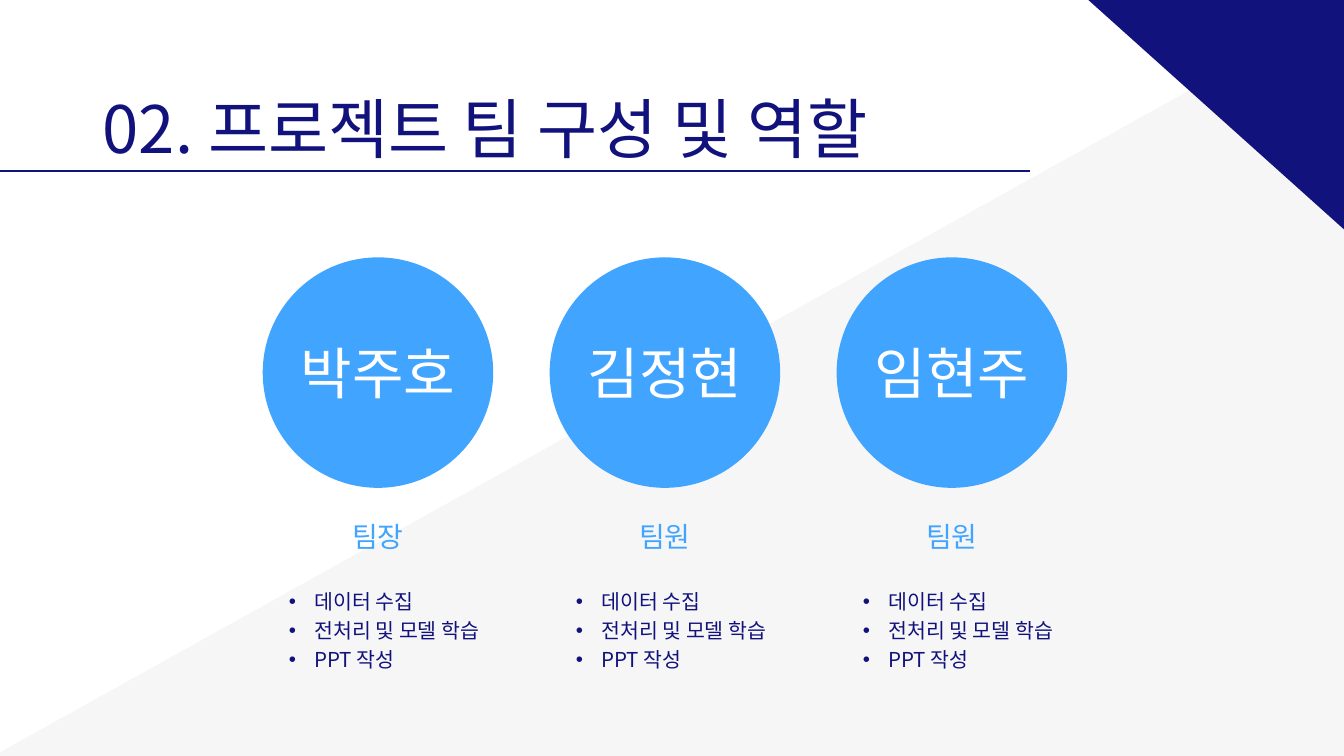
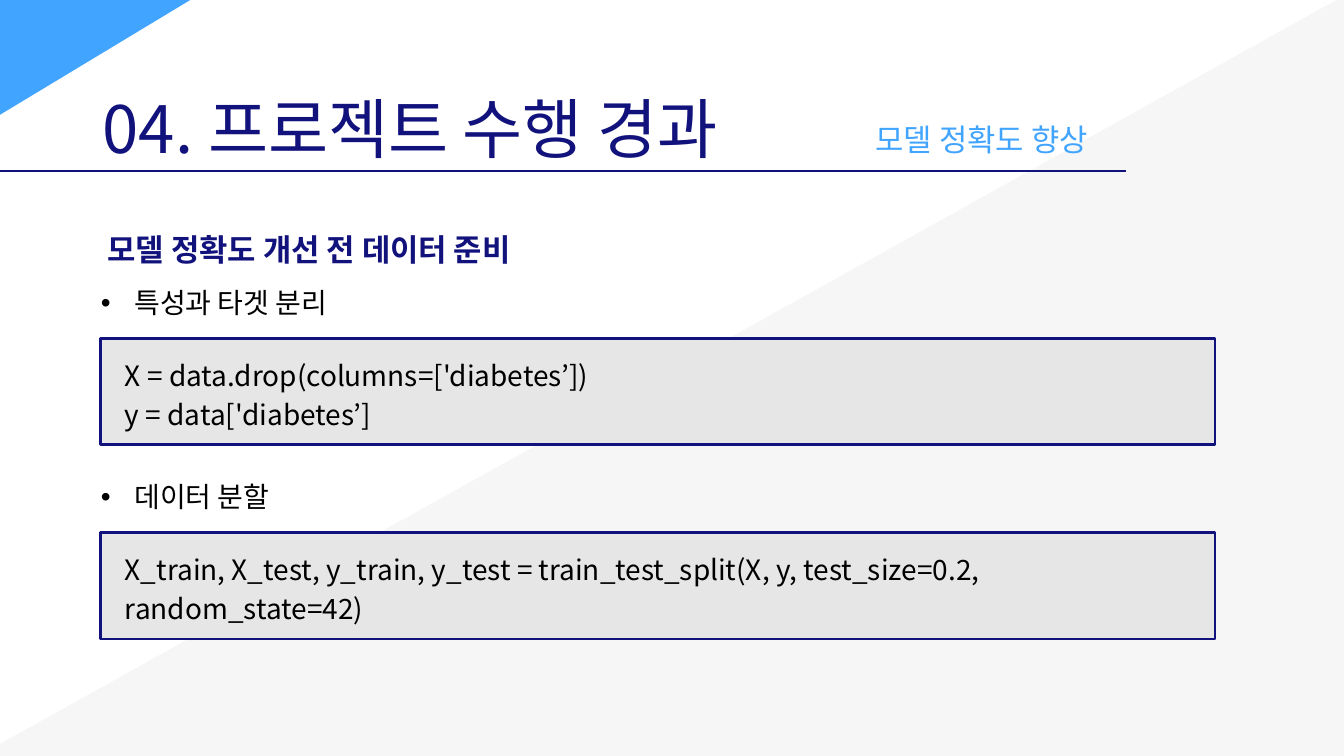
import pptx
import pptx.util
import pptx.dml.color
import pptx.enum.shapes
import pptx.enum.text
import pptx.oxml.xmlchemy

COLORS = {"navy": "12127D", "sky": "41A4FF", "mist": "F6F6F6",
          "code": "E6E6E6", "black": "000000", "white": "FFFFFF"}
RGB = {name: pptx.dml.color.RGBColor.from_string(value) for name, value in COLORS.items()}
FONT = "Noto Sans CJK KR"
CENTER = pptx.enum.text.PP_ALIGN.CENTER
RECTANGLE = pptx.enum.shapes.MSO_SHAPE.RECTANGLE
OVAL = pptx.enum.shapes.MSO_SHAPE.OVAL

deck = pptx.Presentation()
deck.slide_width = pptx.util.Inches(20)
deck.slide_height = pptx.util.Inches(11.25)
CELL = deck.slide_width / 20  # square grid: 20 columns by 11.25 rows

STYLES = {
    "title": {"size": 70, "color": "navy", "leading": 96},
    "subtitle": {"size": 33, "color": "sky", "leading": 33.6},
    "heading": {"size": 33, "color": "navy", "bold": True, "inset": (0.1, 0.05)},
    "member": {"size": 60, "color": "white", "align": CENTER},
    "role": {"size": 30, "color": "sky", "leading": 36, "align": CENTER},
    "duty": {"size": 22, "color": "navy", "leading": 30.8, "indent": 0.38},
    "step": {"size": 30, "color": "black", "indent": 0.5},
    "code": {"size": 30, "color": "black", "leading": 42},
}


def grid(*cells):
    return [round(count * CELL) for count in cells]


def write(shape, lines, style_name):
    """Fill a shape with one paragraph per line in a named style."""
    style = STYLES[style_name]
    side, edge = grid(*style.get("inset", (0, 0)))
    frame = shape.text_frame
    frame_format = {"word_wrap": True, "margin_left": side, "margin_right": side,
                    "margin_top": edge, "margin_bottom": edge}
    for attribute, value in frame_format.items():
        setattr(frame, attribute, value)
    for number, line in enumerate(lines):
        paragraph = frame.add_paragraph() if number else frame.paragraphs[0]
        if "align" in style:
            paragraph.alignment = style["align"]
        if "leading" in style:
            paragraph.line_spacing = pptx.util.Pt(style["leading"])
        if "indent" in style:
            properties = paragraph._p.get_or_add_pPr()
            indent, = grid(style["indent"])
            properties.set("marL", str(indent))
            properties.set("indent", str(-indent))
            bullet_font = pptx.oxml.xmlchemy.OxmlElement("a:buFont")
            bullet_font.set("typeface", "Arial")
            bullet = pptx.oxml.xmlchemy.OxmlElement("a:buChar")
            bullet.set("char", "•")
            properties.extend([bullet_font, bullet])
        run = paragraph.add_run()
        run.text = line
        run_format = {"name": FONT, "size": pptx.util.Pt(style["size"]),
                      "bold": style.get("bold", False)}
        for attribute, value in run_format.items():
            setattr(run.font, attribute, value)
        run.font.color.rgb = RGB[style["color"]]
        east_asian = pptx.oxml.xmlchemy.OxmlElement("a:ea")
        east_asian.set("typeface", FONT)
        run._r.get_or_add_rPr().append(east_asian)


# Shared frame: tilted panels, title and underline
# Each panel: left, top, width, height, rotation, colour
PAGES = [
    {"title": "02. 프로젝트 팀 구성 및 역할", "rule_end": 15.33,
     "panels": [(5.88, 0.33, 15.64, 24.38, 240.9, "mist"),
                (17.21, -3.47, 5.58, 6.27, 131.9, "navy")]},
    {"title": "04. 프로젝트 수행 경과", "rule_end": 16.75,
     "panels": [(5.78, 0.26, 15.64, 24.38, 240.9, "mist"),
                (-3.07, -4.92, 5.58, 6.27, 148.9, "sky")]},
]
slides = []
for page in PAGES:
    slide = deck.slides.add_slide(deck.slide_layouts[6])
    slides.append(slide)
    for *area, rotation, color in page["panels"]:
        left, top, width, height = grid(*area)
        outline = slide.shapes.build_freeform(left, top)
        outline.add_line_segments([(left + width, top), (left + width, top + height),
                                   (left, top + height)])
        panel = outline.convert_to_shape()
        panel.rotation = rotation
        panel.shadow.inherit = False
        panel.fill.solid()
        panel.fill.fore_color.rgb = RGB[color]
        panel.line.fill.background()
    write(slide.shapes.add_textbox(*grid(1.53, 1.14, 14.27, 1.28)), [page["title"]], "title")
    rule = slide.shapes.add_connector(pptx.enum.shapes.MSO_CONNECTOR.STRAIGHT,
                                      *grid(-1.83, 2.55, page["rule_end"], 2.55))
    rule.line.color.rgb = RGB["navy"]
    rule.line.width = pptx.util.Pt(2.25)
    rule._element.spPr.append(pptx.oxml.xmlchemy.OxmlElement("a:effectLst"))

team_slide, progress_slide = slides

# Team members, one column each
MEMBERS = [("박주호", "팀장"), ("김정현", "팀원"), ("임현주", "팀원")]
DUTIES = ["데이터 수집", "전처리 및 모델 학습", "PPT 작성"]
for column, (member, role) in enumerate(MEMBERS):
    left = 3.91 + 4.27 * column
    badge = team_slide.shapes.add_shape(OVAL, *grid(left, 3.83, 3.43, 3.43))
    badge.shadow.inherit = False
    badge.fill.solid()
    badge.fill.fore_color.rgb = RGB["sky"]
    badge.line.fill.background()
    badge.text_frame.vertical_anchor = pptx.enum.text.MSO_ANCHOR.MIDDLE
    write(badge, [member], "member")
    write(team_slide.shapes.add_textbox(*grid(left - 0.83, 7.73, 5.09, 0.51)), [role], "role")
    write(team_slide.shapes.add_textbox(*grid(left + 0.39, 8.71, 3.41, 1.28)), DUTIES, "duty")

# Data preparation steps, each with its code
write(progress_slide.shapes.add_textbox(*grid(13.03, 1.88, 3.97, 0.48)),
      ["모델 정확도 향상"], "subtitle")
write(progress_slide.shapes.add_textbox(*grid(1.5, 3.39, 13, 0.66)),
      ["모델 정확도 개선 전 데이터 준비"], "heading")
STEPS = [
    ("특성과 타겟 분리", ["X = data.drop(columns=['diabetes’])", "y = data['diabetes’]"]),
    ("데이터 분할", ["X_train, X_test, y_train, y_test = train_test_split"
                 "(X, y, test_size=0.2, random_state=42)"]),
]
for row, (step, code) in enumerate(STEPS):
    top = 4.25 + 2.89 * row
    write(progress_slide.shapes.add_textbox(*grid(1.5, top, 7, 0.5)), [step], "step")
    code_panel = progress_slide.shapes.add_shape(RECTANGLE, *grid(1.5, top + 0.79, 16.58, 1.58))
    code_panel.shadow.inherit = False
    code_panel.fill.solid()
    code_panel.fill.fore_color.rgb = RGB["code"]
    code_panel.line.color.rgb = RGB["navy"]
    code_panel.line.width = pptx.util.Pt(3)
    write(progress_slide.shapes.add_textbox(*grid(1.86, top + 1, 15.6, 1.15)), code, "code")

deck.save("out.pptx")
